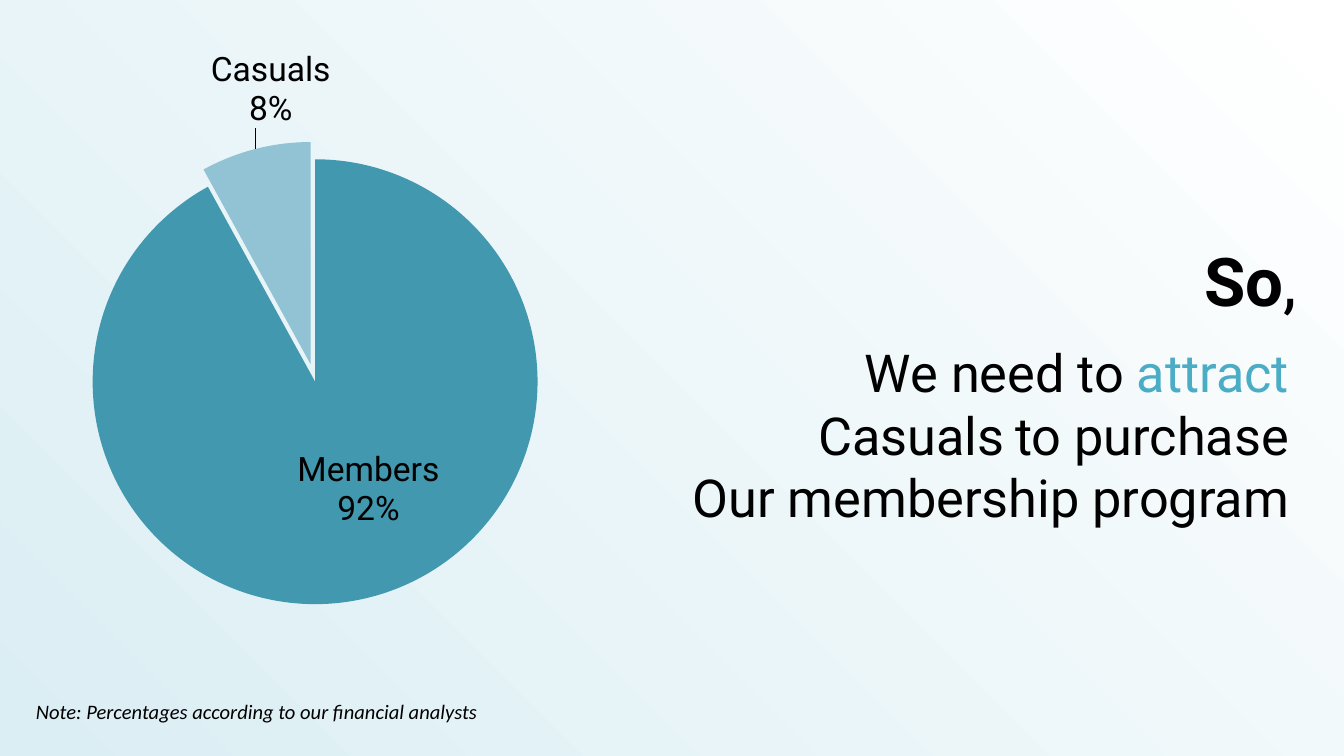
from dataclasses import dataclass

from pptx import Presentation
from pptx.chart.data import CategoryChartData
from pptx.dml.color import RGBColor
from pptx.enum.chart import XL_CHART_TYPE
from pptx.enum.text import PP_ALIGN
from pptx.oxml import parse_xml
from pptx.oxml.ns import nsdecls
from pptx.slide import Slide
from pptx.util import Pt


@dataclass(frozen=True)
class Theme:
    heading_font: str = "Roboto"
    note_font: str = "Calibri"
    ink: str = "000000"
    accent: str = "4BACC6"
    background: tuple[str, str] = ("DBEEF4", "FFFFFF")
    note_size: float = 11
    label_size: float = 18
    gap_size: float = 24
    body_size: float = 28
    title_size: float = 36


THEME = Theme()


@dataclass(frozen=True)
class Frame:
    left: float
    top: float
    width: float
    height: float


@dataclass(frozen=True)
class Span:
    text: str
    color: str = THEME.ink
    bold: bool = False
    size: float | None = None


@dataclass(frozen=True)
class TextBlock:
    frame: Frame
    lines: tuple[tuple[Span, ...], ...]
    font: str
    size: float
    align: PP_ALIGN = PP_ALIGN.RIGHT
    italic: bool = False
    wrap: bool = True


@dataclass(frozen=True)
class Slice:
    name: str
    percent: int
    color: str
    explosion: int
    label_shift: tuple[float, float]
    label_position: str


CHART_FRAME = Frame(-120.2, 16.6, 689.8, 342)
PLOT_AREA = Frame(0.243, 0.201, 0.352, 0.697)
SLICES = (
    Slice("Members", 92, "4198AF", 0, (0.02, 0), "ctr"),
    Slice("Casuals", 8, "91C3D5", 8, (0.06, -0.02), "outEnd"),
)
TEXTS = (
    TextBlock(
        Frame(12.2, 370.8, 254.2, 20.9),
        ((Span("Note: Percentages according to our financial analysts"),),),
        THEME.note_font, THEME.note_size, PP_ALIGN.LEFT, italic=True, wrap=False,
    ),
    TextBlock(
        Frame(293.8, 124.6, 408.2, 51.1),
        ((Span("So", bold=True), Span(",")),),
        THEME.heading_font, THEME.title_size,
    ),
    TextBlock(
        Frame(174.2, 178.6, 523.4, 147.6),
        (
            (Span("We need to "), Span("attract", THEME.accent)),
            (Span("Casuals"), Span(" ", size=THEME.gap_size), Span("to purchase")),
            (Span("Our membership program"),),
        ),
        THEME.heading_font, THEME.body_size,
    ),
)


def lengths(frame: Frame) -> tuple[Pt, ...]:
    """Return the frame's left, top, width and height as lengths."""
    return Pt(frame.left), Pt(frame.top), Pt(frame.width), Pt(frame.height)


def add_text(page: Slide, block: TextBlock) -> None:
    """Add one text box made of styled spans."""
    box = page.shapes.add_textbox(*lengths(block.frame))
    box.text_frame.word_wrap = block.wrap
    for index, line in enumerate(block.lines):
        para = box.text_frame.add_paragraph() if index else box.text_frame.paragraphs[0]
        para.alignment = block.align
        para.font.name = block.font
        para.font.size = Pt(block.size)
        para.font.italic = block.italic
        for span in line:
            run = para.add_run()
            run.text = span.text
            run.font.bold = span.bold
            run.font.color.rgb = RGBColor.from_string(span.color)
            if span.size:
                run.font.size = Pt(span.size)


def slice_label(index: int, part: Slice):
    """Return the label element of one slice: name over percentage."""
    x, y = part.label_shift
    return parse_xml(
        f'<c:dLbl {nsdecls("c", "a")}><c:idx val="{index}"/>'
        f'<c:layout><c:manualLayout><c:x val="{x}"/><c:y val="{y}"/></c:manualLayout></c:layout>'
        '<c:spPr><a:noFill/><a:ln><a:noFill/></a:ln></c:spPr>'
        f'<c:txPr><a:bodyPr/><a:p><a:pPr><a:defRPr sz="{int(THEME.label_size * 100)}">'
        f'<a:solidFill><a:srgbClr val="{THEME.ink}"/></a:solidFill>'
        f'<a:latin typeface="{THEME.heading_font}"/></a:defRPr></a:pPr></a:p></c:txPr>'
        f'<c:dLblPos val="{part.label_position}"/><c:showLegendKey val="0"/><c:showVal val="0"/>'
        '<c:showCatName val="1"/><c:showSerName val="0"/><c:showPercent val="1"/>'
        '<c:showBubbleSize val="0"/><c:separator>\n</c:separator></c:dLbl>'
    )


def plot_layout(area: Frame):
    """Return a manual layout for the inner plot area."""
    return parse_xml(
        f'<c:layout {nsdecls("c")}><c:manualLayout><c:layoutTarget val="inner"/>'
        '<c:xMode val="edge"/><c:yMode val="edge"/>'
        f'<c:x val="{area.left}"/><c:y val="{area.top}"/>'
        f'<c:w val="{area.width}"/><c:h val="{area.height}"/></c:manualLayout></c:layout>'
    )


def add_pie(page: Slide) -> None:
    """Add the pie of members and casuals."""
    data = CategoryChartData()
    data.categories = [part.name for part in SLICES]
    data.add_series("Series 1", [part.percent for part in SLICES])
    chart = page.shapes.add_chart(XL_CHART_TYPE.PIE, *lengths(CHART_FRAME), data).chart
    chart.has_legend = False
    chart.has_title = False
    chart.font.name = THEME.heading_font
    chart.font.size = Pt(THEME.label_size)
    chart.font.color.rgb = RGBColor.from_string(THEME.ink)
    plot = chart.plots[0]
    plot.vary_by_categories = True
    area = plot._element.getparent()
    for layout in area.findall(plot_layout(PLOT_AREA).tag):
        area.remove(layout)
    area.insert(0, plot_layout(PLOT_AREA))
    series = plot.series[0]
    labels = series.data_labels
    labels.show_value = False
    labels.show_category_name = True
    labels.show_percentage = True
    for index, part in enumerate(SLICES):
        style = series.points[index].format
        style.fill.solid()
        style.fill.fore_color.rgb = RGBColor.from_string(part.color)
        style.line.fill.background()
        point = series._element.dPt_lst[index]
        point.spPr.addprevious(
            parse_xml(f'<c:explosion {nsdecls("c")} val="{part.explosion}"/>')
        )
        labels._element.insert(index, slice_label(index, part))


def paint_background(page: Slide) -> None:
    """Fill the page with a diagonal gradient."""
    fill = page.background.fill
    fill.gradient()
    fill.gradient_angle = 45
    for stop, color in zip(fill.gradient_stops, THEME.background):
        stop.color.rgb = RGBColor.from_string(color)


def main() -> None:
    """Build the deck and save it."""
    deck = Presentation()
    deck.slide_width, deck.slide_height = Pt(720), Pt(405)
    page = deck.slides.add_slide(deck.slide_layouts[6])
    paint_background(page)
    add_pie(page)
    for block in TEXTS:
        add_text(page, block)
    deck.save("out.pptx")


if __name__ == "__main__":
    main()
